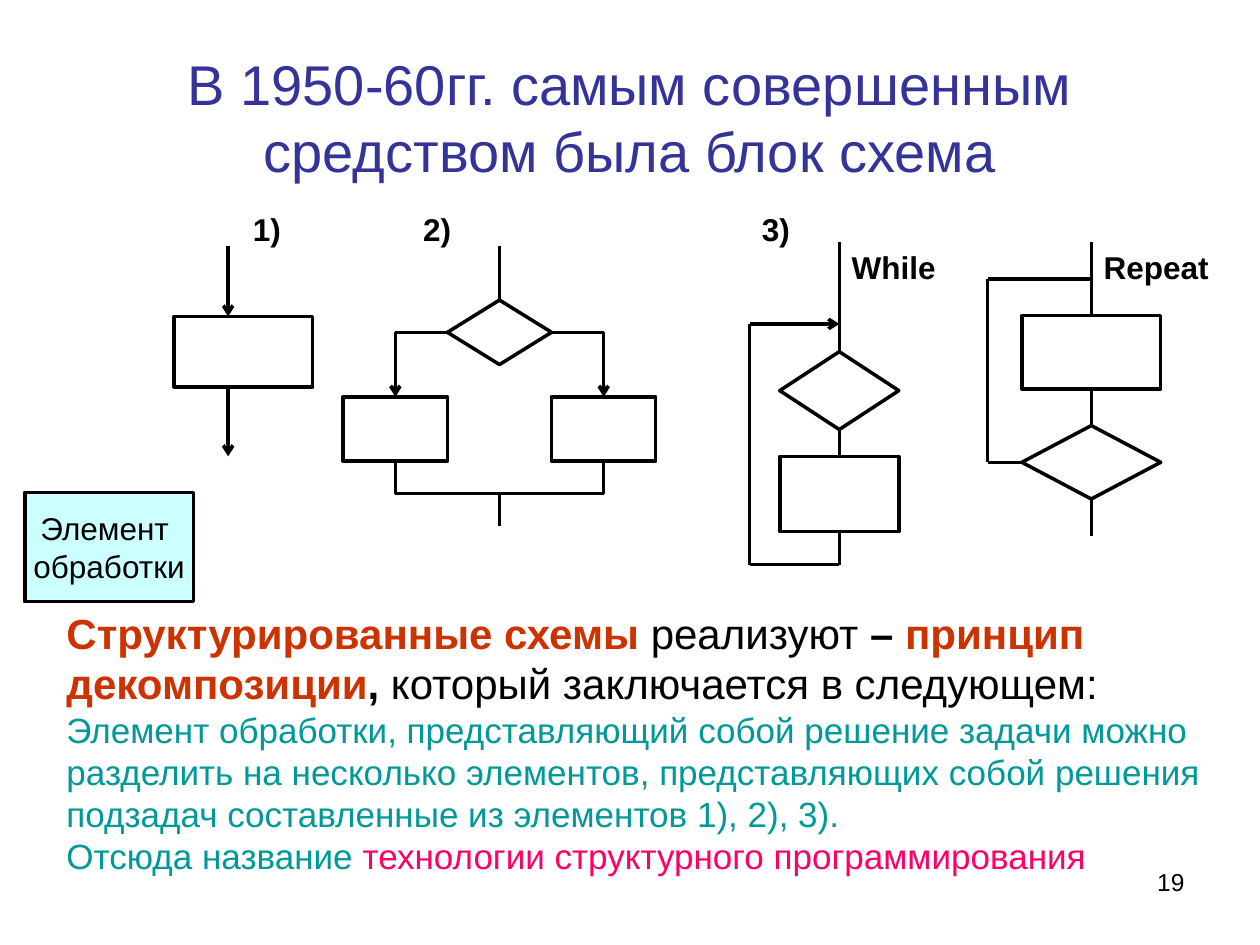
from dataclasses import dataclass
from itertools import pairwise
from typing import NamedTuple

from lxml.etree import SubElement
from pptx import Presentation
from pptx.dml.color import RGBColor
from pptx.enum.shapes import MSO_CONNECTOR as Connector, MSO_SHAPE as Preset
from pptx.enum.text import MSO_ANCHOR as Anchor, MSO_AUTO_SIZE as AutoSize, PP_ALIGN as Align
from pptx.oxml.ns import qn
from pptx.util import Cm, Pt

BLACK, WHITE, BLUE, CYAN = "000000", "FFFFFF", "333399", "CCFFFF"
RED, TEAL, PINK = "CC3300", "009999", "FF0066"
LINE_WIDTH = Pt(2)


class Span(NamedTuple):
    text: str
    color: str = BLACK
    bold: bool = False


class Area(NamedTuple):
    left: float
    top: float
    width: float
    height: float

    def lengths(self):
        return [Cm(value) for value in self]


class Block(NamedTuple):
    preset: Preset
    area: Area


class Route(NamedTuple):
    points: list[tuple[float, float]]
    arrow: bool = False


class Label(NamedTuple):
    text: str
    area: Area


@dataclass
class Scheme:
    blocks: list[Block]
    routes: list[Route]
    labels: list[Label]


def rgb(color: str) -> RGBColor:
    return RGBColor.from_string(color)


def write_text(shape, *paragraphs: list[Span], size: float, align=Align.LEFT,
               anchor=Anchor.TOP, wrap: bool = True) -> None:
    frame = shape.text_frame
    frame.auto_size = AutoSize.NONE
    frame.word_wrap = wrap
    frame.vertical_anchor = anchor
    for index, spans in enumerate(paragraphs):
        para = frame.add_paragraph() if index else frame.paragraphs[0]
        para.alignment = align
        for span in spans:
            run = para.add_run()
            run.text = span.text
            run.font.name = "Arial"
            run.font.size = Pt(size)
            run.font.bold = span.bold
            run.font.color.rgb = rgb(span.color)


def draw_block(shapes, block: Block, fill: str = WHITE):
    shape = shapes.add_shape(block.preset, *block.area.lengths())
    shape.shadow.inherit = False
    shape.fill.solid()
    shape.fill.fore_color.rgb = rgb(fill)
    shape.line.color.rgb = rgb(BLACK)
    shape.line.width = LINE_WIDTH
    return shape


def draw_route(shapes, route: Route) -> None:
    for start, end in pairwise(route.points):
        ends = [Cm(value) for value in (*start, *end)]
        line = shapes.add_connector(Connector.STRAIGHT, *ends)
        line.line.color.rgb = rgb(BLACK)
        line.line.width = LINE_WIDTH
        if route.arrow and end == route.points[-1]:
            SubElement(line.line._get_or_add_ln(), qn("a:tailEnd"), type="arrow")
        SubElement(line._element.spPr, qn("a:effectLst"))


def draw_scheme(page, scheme: Scheme) -> None:
    shapes = page.shapes.add_group_shape().shapes
    for block in scheme.blocks:
        draw_block(shapes, block)
    for route in scheme.routes:
        draw_route(shapes, route)
    for label in scheme.labels:
        box = shapes.add_textbox(*label.area.lengths())
        write_text(box, [Span(label.text, bold=True)], size=18)


SEQUENCE = Scheme(
    blocks=[Block(Preset.RECTANGLE, Area(3.51, 6.38, 2.79, 1.42))],
    routes=[
        Route([(4.6, 4.95), (4.6, 6.38)], arrow=True),
        Route([(4.6, 7.8), (4.6, 9.2)], arrow=True),
    ],
    labels=[Label("1)", Area(4.85, 4.11, 1.4, 1.7))],
)
BRANCH = Scheme(
    blocks=[
        Block(Preset.FLOWCHART_DECISION, Area(9.02, 6.05, 2.1, 1.3)),
        Block(Preset.RECTANGLE, Area(6.92, 8, 2.1, 1.3)),
        Block(Preset.RECTANGLE, Area(11.12, 8, 2.1, 1.3)),
    ],
    routes=[
        Route([(10.07, 4.95), (10.07, 6.05)]),
        Route([(9.02, 6.7), (7.97, 6.7), (7.97, 8)], arrow=True),
        Route([(11.12, 6.7), (12.17, 6.7), (12.17, 8)], arrow=True),
        Route([(7.97, 9.3), (7.97, 9.95), (12.17, 9.95), (12.17, 9.3)]),
        Route([(10.07, 9.95), (10.07, 10.6)]),
    ],
    labels=[Label("2)", Area(8.28, 4.11, 1.75, 1.4))],
)
WHILE_LOOP = Scheme(
    blocks=[
        Block(Preset.FLOWCHART_DECISION, Area(15.72, 7.09, 2.4, 1.57)),
        Block(Preset.RECTANGLE, Area(15.72, 9.2, 2.4, 1.52)),
    ],
    routes=[
        Route([(16.92, 4.88), (16.92, 7.09)]),
        Route([(16.92, 8.66), (16.92, 9.2)]),
        Route([(16.92, 10.72), (16.92, 11.38), (15.11, 11.38),
               (15.11, 6.53), (16.92, 6.53)], arrow=True),
    ],
    labels=[
        Label("While", Area(16.92, 4.88, 2.41, 1.2)),
        Label("3)", Area(15.11, 4.11, 1.4, 1.65)),
    ],
)
REPEAT_LOOP = Scheme(
    blocks=[
        Block(Preset.RECTANGLE, Area(20.6, 6.36, 2.8, 1.48)),
        Block(Preset.FLOWCHART_DECISION, Area(20.6, 8.58, 2.8, 1.48)),
    ],
    routes=[
        Route([(22, 4.88), (22, 6.36)]),
        Route([(22, 7.84), (22, 8.58)]),
        Route([(22, 10.06), (22, 10.8)]),
        Route([(20.6, 9.32), (19.91, 9.32), (19.91, 5.62), (22, 5.62)]),
    ],
    labels=[Label("Repeat", Area(22, 4.88, 2.8, 1.48))],
)
EXPLANATION = [
    [
        Span("Структурированные схемы ", RED, True),
        Span("реализуют"),
        Span(" – ", bold=True),
        Span("принцип декомпозиции", RED, True),
        Span(",", bold=True),
        Span(" который заключается в следующем:"),
    ],
    [Span("Элемент обработки, представляющий собой решение задачи можно разделить "
          "на несколько элементов, представляющих собой решения подзадач "
          "составленные из элементов 1), 2), 3).", TEAL)],
    [Span("Отсюда название ", TEAL),
     Span("технологии структурного программирования", PINK)],
]


def main() -> None:
    deck = Presentation()
    deck.slide_width, deck.slide_height = Cm(25.4), Cm(19.05)
    page = deck.slides.add_slide(deck.slide_layouts[5])

    title = page.shapes.title
    title.left, title.top, title.width, title.height = Area(1.27, 0.76, 22.86, 3.18).lengths()
    write_text(title, [Span("В 1950-60гг. самым совершенным средством была блок схема", BLUE)],
               size=32, align=Align.CENTER, anchor=Anchor.MIDDLE)

    for scheme in (SEQUENCE, BRANCH, WHILE_LOOP, REPEAT_LOOP):
        draw_scheme(page, scheme)

    explanation = page.shapes.add_textbox(*Area(1.09, 12.12, 23.6, 5.69).lengths())
    write_text(explanation, *EXPLANATION, size=20)
    for run in explanation.text_frame.paragraphs[0].runs:
        run.font.size = Pt(24)

    element = draw_block(page.shapes, Block(Preset.RECTANGLE, Area(0.5, 9.93, 3.4, 2.2)), CYAN)
    write_text(element, [Span("Элемент ")], [Span("обработки")], size=18,
               align=Align.CENTER, anchor=Anchor.MIDDLE, wrap=False)

    number = page.shapes.add_textbox(*Area(18.21, 17.35, 5.92, 1.32).lengths())
    write_text(number, [Span("19")], size=14, align=Align.RIGHT)

    deck.save("out.pptx")


if __name__ == "__main__":
    main()
